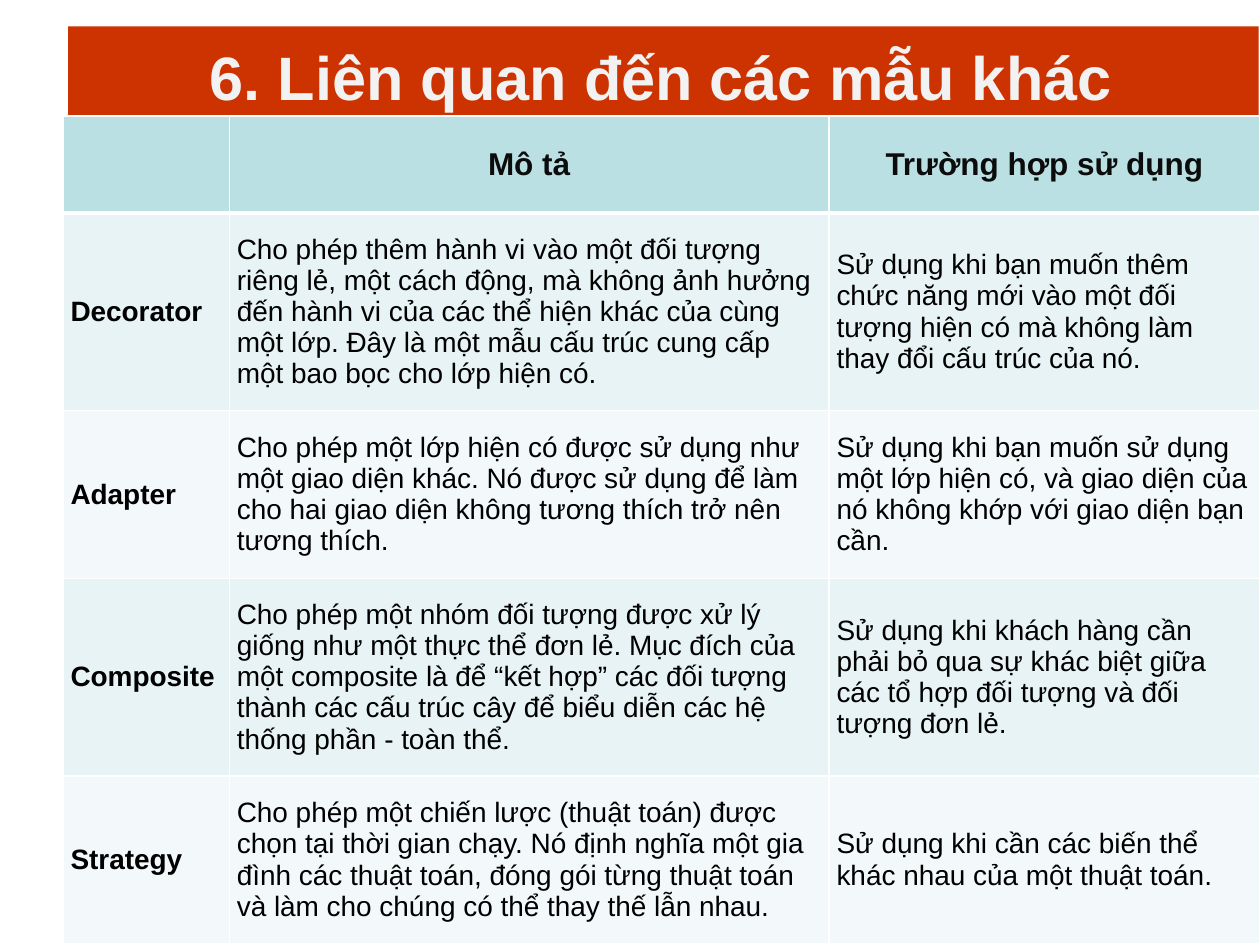
from dataclasses import dataclass

from lxml.etree import SubElement
from pptx import Presentation
from pptx.dml.color import RGBColor
from pptx.enum.shapes import MSO_SHAPE as Shape
from pptx.enum.text import MSO_ANCHOR as Anchor, PP_ALIGN as Align
from pptx.oxml.ns import qn
from pptx.util import Inches, Pt


@dataclass(frozen=True)
class Theme:
    font: str = "Arial"
    banner: str = "CC3300"
    title: str = "F2F2F2"
    header_fill: str = "BBE0E3"
    header_text: str = "0C0C0C"
    bands: tuple = ("E7F3F4", "F3F9FA")
    body_text: str = "000000"
    rule: str = "FFFFFF"
    title_size: int = 35
    header_size: int = 18
    body_size: int = 16


theme = Theme()


def add_text(frame, text, size, color, bold, align):
    paragraph = frame.paragraphs[0]
    paragraph.alignment = align
    run = paragraph.add_run()
    run.text = text
    run.font.name = theme.font
    run.font.size = Pt(size)
    run.font.bold = bold
    run.font.color.rgb = RGBColor.from_string(color)


def add_border(cell, side, width):
    line = SubElement(cell._tc.get_or_add_tcPr(), qn(f"a:ln{side}"), w=str(Pt(width)))
    fill = SubElement(line, qn("a:solidFill"))
    SubElement(fill, qn("a:srgbClr"), val=theme.rule)


presentation = Presentation()
presentation.slide_width = Inches(10)
presentation.slide_height = Inches(7.5)
slide = presentation.slides.add_slide(presentation.slide_layouts[6])

# Title banner
banner = slide.shapes.add_shape(
    Shape.RECTANGLE, Inches(0.54), Inches(0.21), Inches(9.45), Inches(0.71))
banner.shadow.inherit = False
banner.fill.solid()
banner.fill.fore_color.rgb = RGBColor.from_string(theme.banner)
banner.line.fill.background()

title = slide.shapes.add_textbox(Inches(0.76), Inches(0.21), Inches(8.98), Inches(0.61))
frame = title.text_frame
frame.word_wrap = True
frame.vertical_anchor = Anchor.TOP
frame.margin_top = Inches(0.1)
frame.margin_bottom = 0
add_text(frame, "6. Liên quan đến các mẫu khác", theme.title_size, theme.title, True, Align.CENTER)

# Comparison table
rows = [
    ("", "Mô tả", "Trường hợp sử dụng"),
    ("Decorator",
     "Cho phép thêm hành vi vào một đối tượng riêng lẻ, một cách động, mà không ảnh hưởng "
     "đến hành vi của các thể hiện khác của cùng một lớp. Đây là một mẫu cấu trúc cung cấp "
     "một bao bọc cho lớp hiện có.",
     "Sử dụng khi bạn muốn thêm chức năng mới vào một đối tượng hiện có mà không làm thay "
     "đổi cấu trúc của nó."),
    ("Adapter",
     "Cho phép một lớp hiện có được sử dụng như một giao diện khác. Nó được sử dụng để làm "
     "cho hai giao diện không tương thích trở nên tương thích.",
     "Sử dụng khi bạn muốn sử dụng một lớp hiện có, và giao diện của nó không khớp với "
     "giao diện bạn cần."),
    ("Composite",
     "Cho phép một nhóm đối tượng được xử lý giống như một thực thể đơn lẻ. Mục đích của "
     "một composite là để “kết hợp” các đối tượng thành các cấu trúc cây để biểu diễn các "
     "hệ thống phần - toàn thể.",
     "Sử dụng khi khách hàng cần phải bỏ qua sự khác biệt giữa các tổ hợp đối tượng và "
     "đối tượng đơn lẻ."),
    ("Strategy",
     "Cho phép một chiến lược (thuật toán) được chọn tại thời gian chạy. Nó định nghĩa một "
     "gia đình các thuật toán, đóng gói từng thuật toán và làm cho chúng có thể thay thế "
     "lẫn nhau.",
     "Sử dụng khi cần các biến thể khác nhau của một thuật toán."),
]
column_widths = (1.32, 4.76, 3.42)
row_heights = (0.77, 1.57, 1.33, 1.57, 1.33)

table = slide.shapes.add_table(
    len(rows), len(column_widths),
    Inches(0.5), Inches(0.92), Inches(9.5), Inches(6.58)).table
for column, width in zip(table.columns, column_widths):
    column.width = Inches(width)
for row, height in zip(table.rows, row_heights):
    row.height = Inches(height)

for row_index, texts in enumerate(rows):
    is_header = row_index == 0
    cell_fill = theme.header_fill if is_header else theme.bands[(row_index - 1) % 2]
    size = theme.header_size if is_header else theme.body_size
    color = theme.header_text if is_header else theme.body_text
    align = Align.CENTER if is_header else Align.LEFT
    for column_index, text in enumerate(texts):
        cell = table.cell(row_index, column_index)
        cell.vertical_anchor = Anchor.MIDDLE
        cell.margin_left = cell.margin_right = Inches(0.06)
        cell.margin_top = cell.margin_bottom = Inches(0.07 if is_header else 0.06)

        # A thicker rule separates the header from the body
        for side in "LRTB":
            under_header = (row_index, side) in ((0, "B"), (1, "T"))
            add_border(cell, side, 3 if under_header else 1)
        cell.fill.solid()
        cell.fill.fore_color.rgb = RGBColor.from_string(cell_fill)

        if text:
            bold = is_header or column_index == 0
            add_text(cell.text_frame, text, size, color, bold, align)

presentation.save("out.pptx")
